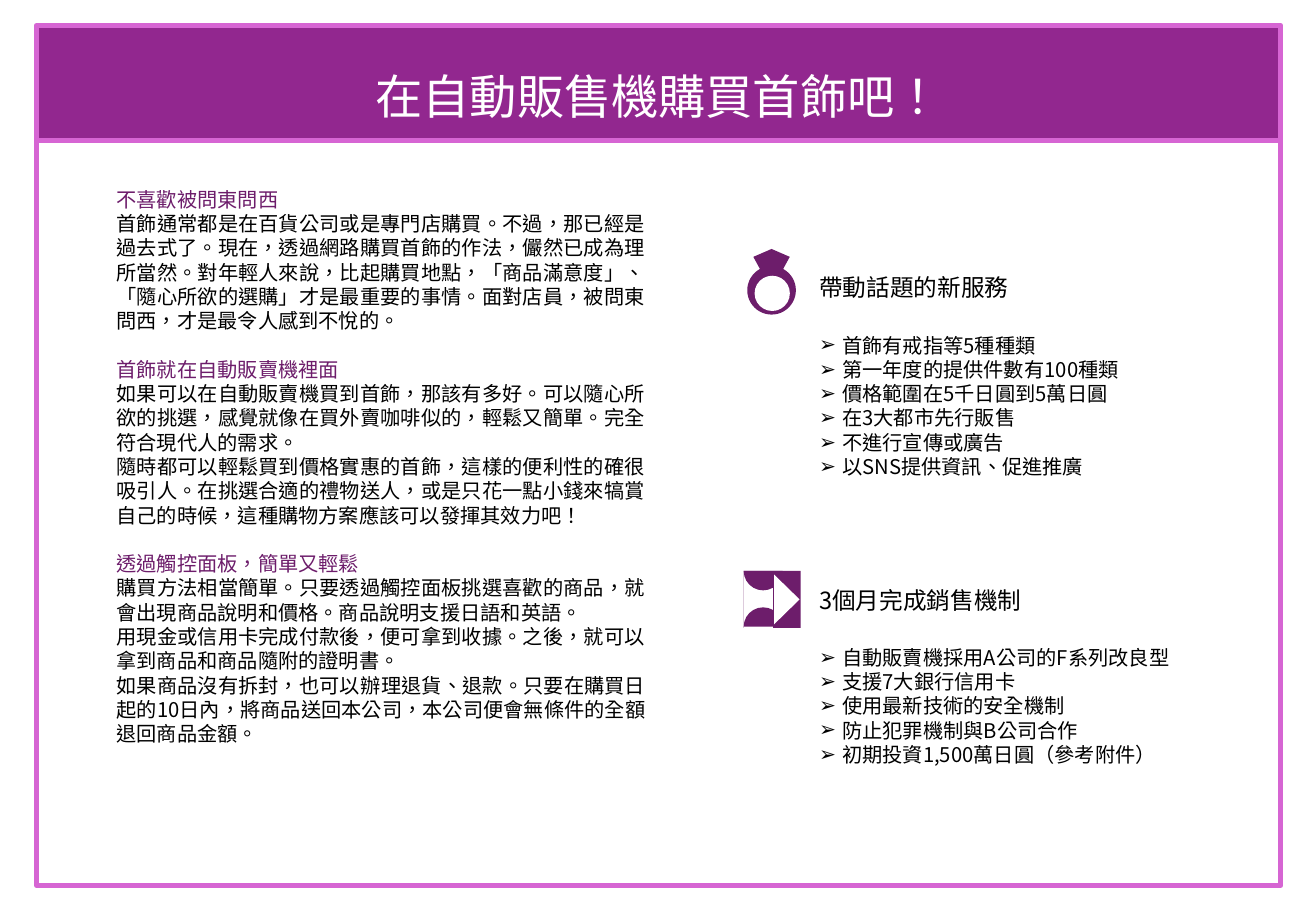
"""Build the slide about buying jewellery from a vending machine."""
from dataclasses import dataclass

from lxml import etree
from pptx import Presentation
from pptx import util as u
from pptx.dml.color import RGBColor
from pptx.enum import shapes, text
from pptx.oxml.ns import qn

PX = 9144
SHAPE = shapes.MSO_SHAPE
ALIGN = text.PP_ALIGN


@dataclass(frozen=True)
class Theme:
    """Colours, font and type sizes of the slide."""
    font: str = "Noto Sans CJK SC"
    language: str = "zh-TW"
    banner: str = "92278F"
    border: str = "D665D3"
    accent: str = "6D1D6B"
    ink: str = "000000"
    paper: str = "FFFFFF"
    title: int = 28
    heading: int = 14
    body: int = 12
    leading: float = 1.2


THEME = Theme()

TITLE = "在自動販售機購買首飾吧！"

ARTICLE = [
    ("不喜歡被問東問西", [
        "首飾通常都是在百貨公司或是專門店購買。不過，那已經是過去式了。現在，透過網路購買首飾的作法，儼然已成為理所當然。對年輕人來說，比起購買地點，「商品滿意度」、「隨心所欲的選購」才是最重要的事情。面對店員，被問東問西，才是最令人感到不悅的。",
    ]),
    ("首飾就在自動販賣機裡面", [
        "如果可以在自動販賣機買到首飾，那該有多好。可以隨心所欲的挑選，感覺就像在買外賣咖啡似的，輕鬆又簡單。完全符合現代人的需求。",
        "隨時都可以輕鬆買到價格實惠的首飾，這樣的便利性的確很吸引人。在挑選合適的禮物送人，或是只花一點小錢來犒賞自己的時候，這種購物方案應該可以發揮其效力吧！",
    ]),
    ("透過觸控面板，簡單又輕鬆", [
        "購買方法相當簡單。只要透過觸控面板挑選喜歡的商品，就會出現商品說明和價格。商品說明支援日語和英語。",
        "用現金或信用卡完成付款後，便可拿到收據。之後，就可以拿到商品和商品隨附的證明書。",
        "如果商品沒有拆封，也可以辦理退貨、退款。只要在購買日起的10日內，將商品送回本公司，本公司便會無條件的全額退回商品金額。",
    ]),
]

FEATURES = [
    (220, "帶動話題的新服務", [
        "首飾有戒指等5種種類",
        "第一年度的提供件數有100種類",
        "價格範圍在5千日圓到5萬日圓",
        "在3大都市先行販售",
        "不進行宣傳或廣告",
        "以SNS提供資訊、促進推廣",
    ]),
    (477, "3個月完成銷售機制", [
        "自動販賣機採用A公司的F系列改良型",
        "支援7大銀行信用卡",
        "使用最新技術的安全機制",
        "防止犯罪機制與B公司合作",
        "初期投資1,500萬日圓（參考附件）",
    ]),
]


def px(*lengths):
    """Turn lengths in px into EMU."""
    return [u.Emu(length * PX) for length in lengths]


def rgb(colour):
    """Return a colour object for a hex string."""
    return RGBColor.from_string(colour)


def place(shape, left, top, width, height):
    """Move and size a shape."""
    shape.left, shape.top, shape.width, shape.height = px(left, top, width, height)


def prepare_frame(shape, anchor=text.MSO_ANCHOR.TOP):
    """Give a text frame wrapping, fixed size and an anchor, and return it."""
    frame = shape.text_frame
    frame.word_wrap = True
    frame.auto_size = text.MSO_AUTO_SIZE.NONE
    frame.vertical_anchor = anchor
    return frame


def add_bullet(paragraph):
    """Give a paragraph an arrowhead bullet with a hanging indent."""
    properties = paragraph._p.get_or_add_pPr()
    indent, = px(19)
    properties.set("marL", str(indent))
    properties.set("indent", str(-indent))
    etree.SubElement(properties, qn("a:buChar")).set("char", "➢")


def format_paragraph(paragraph, size, colour, align, before=0):
    """Set the font, spacing and alignment of a paragraph."""
    paragraph.alignment = align
    paragraph.line_spacing = u.Pt(round(size * THEME.leading, 1))
    paragraph.space_before = u.Pt(before)
    font = paragraph.font
    font.name, font.size, font.bold = THEME.font, u.Pt(size), False
    font.color.rgb = rgb(colour)
    properties = paragraph._p.pPr.find(qn("a:defRPr"))
    properties.set("lang", THEME.language)
    east_asian = etree.Element(qn("a:ea"), typeface=THEME.font)
    properties.find(qn("a:latin")).addnext(east_asian)


def write_paragraphs(frame, entries, size, align, bulleted=False):
    """Fill a frame with (text, colour, space before) entries."""
    for index, (words, colour, before) in enumerate(entries):
        paragraph = frame.add_paragraph() if index else frame.paragraphs[0]
        paragraph.text = words
        if bulleted:
            add_bullet(paragraph)
        format_paragraph(paragraph, size, colour, align, before)


def add_shape(slide, kind, box, fill=None, border=None, rotation=0):
    """Add a preset shape with an optional fill and border."""
    shape = slide.shapes.add_shape(kind, *px(*box))
    shape.shadow.inherit = False
    shape.rotation = rotation
    paint(shape, fill, border)
    return shape


def paint(shape, fill, border):
    """Set the fill and the border of a shape, or clear them."""
    if fill:
        shape.fill.solid()
        shape.fill.fore_color.rgb = rgb(fill)
    else:
        shape.fill.background()
    if border:
        shape.line.color.rgb = rgb(border)
        shape.line.width = u.Pt(3)
    else:
        shape.line.fill.background()


def set_title(slide):
    """Turn the title placeholder into the banner."""
    banner = slide.shapes.title
    place(banner, 30, 21, 1024, 95)
    paint(banner, THEME.banner, THEME.border)
    frame = prepare_frame(banner, text.MSO_ANCHOR.MIDDLE)
    frame.margin_top, frame.margin_bottom = px(20, 0)
    write_paragraphs(frame, [(TITLE, THEME.paper, 0)], THEME.title, ALIGN.CENTER)


def add_article(slide):
    """Add the text column with its coloured section headings."""
    box = slide.shapes.add_textbox(*px(86, 149, 455, 475))
    entries = []
    for heading, paragraphs in ARTICLE:
        gap = THEME.body * THEME.leading if entries else 0
        entries.append((heading, THEME.accent, gap))
        entries += [(words, THEME.ink, 0) for words in paragraphs]
    write_paragraphs(prepare_frame(box), entries, THEME.body, ALIGN.JUSTIFY)


def set_feature(heading, body, top, title, items):
    """Fill a heading placeholder and the list placeholder under it."""
    place(heading, 664, top, 326, 34)
    write_paragraphs(prepare_frame(heading), [(title, THEME.ink, 0)],
                     THEME.heading, ALIGN.LEFT)
    place(body, 664, top + 49, 340, 20 * len(items) + 11)
    entries = [(item, THEME.ink, 0) for item in items]
    write_paragraphs(prepare_frame(body), entries, THEME.body, ALIGN.JUSTIFY, True)


def add_ring_icon(slide):
    """Draw the ring with its stone."""
    add_shape(slide, SHAPE.REGULAR_PENTAGON, (620, 205, 30, 17), THEME.accent)
    add_shape(slide, SHAPE.OVAL, (615, 219, 40, 40), THEME.accent)
    add_shape(slide, SHAPE.OVAL, (621, 227, 29, 29), THEME.paper)


def add_arrow_icon(slide):
    """Draw the square with the curved arrow cut out."""
    add_shape(slide, SHAPE.RECTANGLE, (612, 470, 47, 47), THEME.accent)
    add_shape(slide, SHAPE.RECTANGLE, (612, 470, 24, 47), THEME.paper)
    for top, rotation in ((454, 270), (500, 90)):
        half_disc = add_shape(slide, SHAPE.PIE, (612, top, 32, 32),
                              THEME.accent, rotation=rotation)
        half_disc.adjustments[0], half_disc.adjustments[1] = 54, 162
    add_shape(slide, SHAPE.ISOSCELES_TRIANGLE, (627, 483, 41, 21), THEME.paper, rotation=90)


def main():
    """Build and save the presentation."""
    presentation = Presentation()
    presentation.slide_width, presentation.slide_height = px(1083, 750)
    slide = presentation.slides.add_slide(presentation.slide_layouts[4])
    add_shape(slide, SHAPE.RECTANGLE, (30, 116, 1024, 613), border=THEME.border)
    set_title(slide)
    add_article(slide)
    holders = slide.placeholders
    for index, feature in zip((1, 3), FEATURES):
        set_feature(holders[index], holders[index + 1], *feature)
    add_ring_icon(slide)
    add_arrow_icon(slide)
    presentation.save("out.pptx")


if __name__ == "__main__":
    main()
